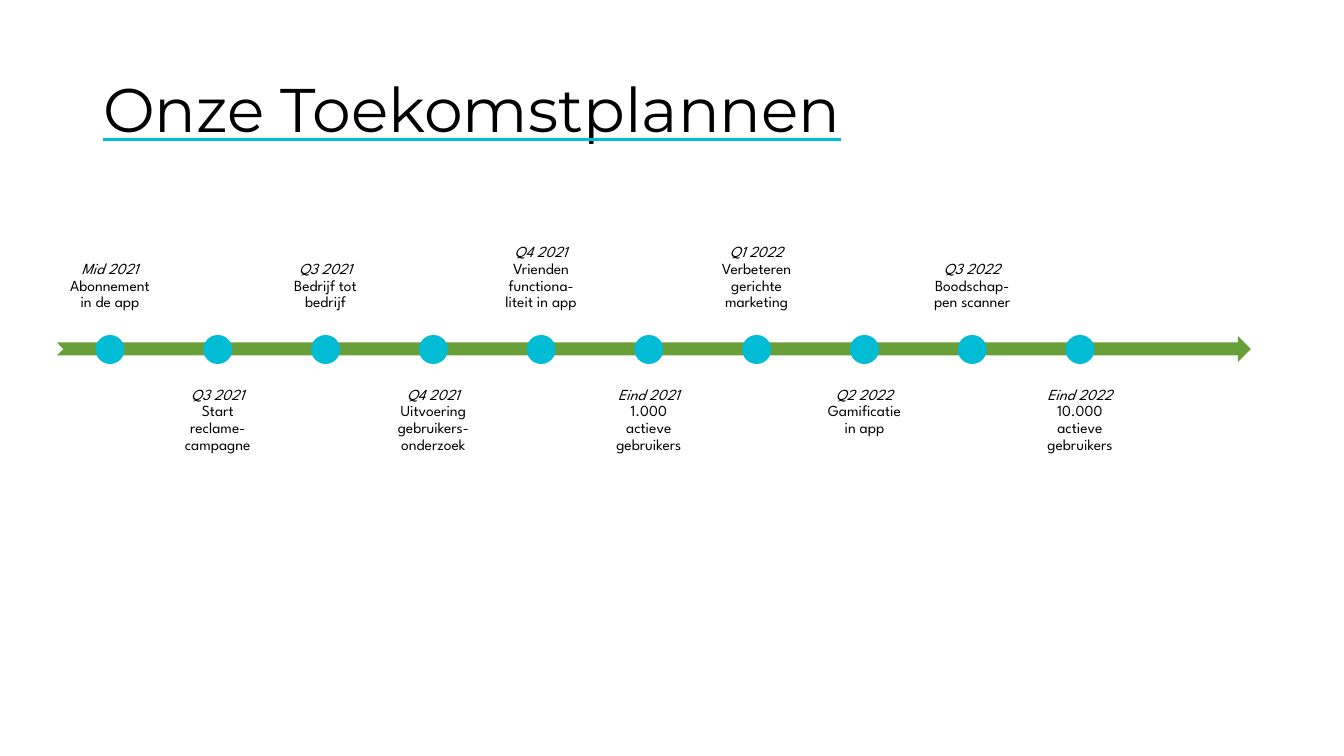
from dataclasses import dataclass

from lxml.etree import SubElement
from pptx import Presentation
from pptx.dml.color import RGBColor
from pptx.enum.shapes import MSO_SHAPE as Shape
from pptx.enum.text import MSO_ANCHOR as Anchor, PP_ALIGN as Align
from pptx.oxml.ns import qn
from pptx.util import Pt

# Content
TITLE = "Onze Toekomstplannen"
MILESTONES = [
    ("Mid 2021", "Abonnement in de app"),
    ("Q3 2021", "Start reclame-\ncampagne"),
    ("Q3 2021", "Bedrijf tot bedrijf"),
    ("Q4 2021", "Uitvoering gebruikers-onderzoek"),
    ("Q4 2021", "Vrienden functiona-liteit in app"),
    ("Eind 2021", "1.000 actieve gebruikers"),
    ("Q1 2022", "Verbeteren gerichte marketing"),
    ("Q2 2022", "Gamificatie in app"),
    ("Q3 2022", "Boodschap-pen scanner"),
    ("Eind 2022", "10.000 actieve gebruikers"),
]


@dataclass(frozen=True)
class Theme:
    text: str = "000000"
    arrow: str = "689F38"
    accent: str = "00BCD4"
    title_font: str = "Montserrat"
    label_font: str = "League Spartan"
    title_size: int = 44
    label_size: int = 11


THEME = Theme()

# Layout in px
EMU_PER_PX = 914400 / 100.8
TITLE_BOX = (93, 40, 1159, 146)
ARROW_BOX = (57, 336, 1194, 26)
LABEL_W, LABEL_H, LABEL_INSET = 103, 118, 9
LABEL_TOPS = (202, 378)
FIRST_X, LAST_X = 110, 1080
DOT, DOT_TOP = 29, 335


def px(*lengths):
    return [round(n * EMU_PER_PX) for n in lengths]


def set_all(obj, values):
    for name, value in values.items():
        setattr(obj, name, value)


def style_font(font, name, size, italic=False):
    set_all(font, {"name": name, "size": Pt(size), "italic": italic})
    font.color.rgb = RGBColor.from_string(THEME.text)


def add_filled(s, kind, box, color):
    sp = s.shapes.add_shape(kind, *px(*box))
    sp.shadow.inherit = False
    sp.fill.solid()
    sp.fill.fore_color.rgb = RGBColor.from_string(color)
    sp.line.fill.background()


def add_title(s):
    sp = s.shapes.title
    set_all(sp, dict(zip(("left", "top", "width", "height"), px(*TITLE_BOX))))
    sp.text_frame.vertical_anchor = Anchor.MIDDLE
    p = sp.text_frame.paragraphs[0]
    set_all(p, {"alignment": Align.LEFT, "line_spacing": 0.9})
    r = p.add_run()
    r.text = TITLE
    style_font(r.font, THEME.title_font, THEME.title_size)
    r.font.underline = True
    # Coloured underline, placed before the font name
    r_pr = r.font._element
    u_fill = SubElement(r_pr, qn("a:uFill"))
    solid = SubElement(u_fill, qn("a:solidFill"))
    SubElement(solid, qn("a:srgbClr"), val=THEME.accent)
    r_pr.find(qn("a:latin")).addprevious(u_fill)


def add_label(s, center, below, date, plan):
    box = (center - LABEL_W / 2, LABEL_TOPS[below], LABEL_W, LABEL_H)
    tf = s.shapes.add_textbox(*px(*box)).text_frame
    inset = px(LABEL_INSET)[0]
    set_all(tf, {
        "word_wrap": True,
        "vertical_anchor": Anchor.TOP if below else Anchor.BOTTOM,
        "margin_left": inset, "margin_right": inset,
        "margin_top": inset, "margin_bottom": inset,
    })
    p = tf.paragraphs[0]
    set_all(p, {"alignment": Align.CENTER, "line_spacing": 0.9})
    for i, line in enumerate([date, *plan.split("\n")]):
        if i:
            p.add_line_break()
        r = p.add_run()
        r.text = line
        style_font(r.font, THEME.label_font, THEME.label_size, italic=i == 0)
    # Line breaks take the label size too
    for br in p._p.findall(qn("a:br")):
        SubElement(br, qn("a:rPr"), sz=str(THEME.label_size * 100))


def main():
    prs = Presentation()
    prs.slide_width, prs.slide_height = px(1344, 756)
    s = prs.slides.add_slide(prs.slide_layouts[5])
    add_title(s)

    # Timeline: labels alternate above and below the arrow
    add_filled(s, Shape.NOTCHED_RIGHT_ARROW, ARROW_BOX, THEME.arrow)
    pitch = (LAST_X - FIRST_X) / (len(MILESTONES) - 1)
    for i, (date, plan) in enumerate(MILESTONES):
        center = FIRST_X + i * pitch
        add_label(s, center, i % 2, date, plan)
        add_filled(s, Shape.OVAL, (center - DOT / 2, DOT_TOP, DOT, DOT), THEME.accent)

    prs.save("out.pptx")


if __name__ == "__main__":
    main()
